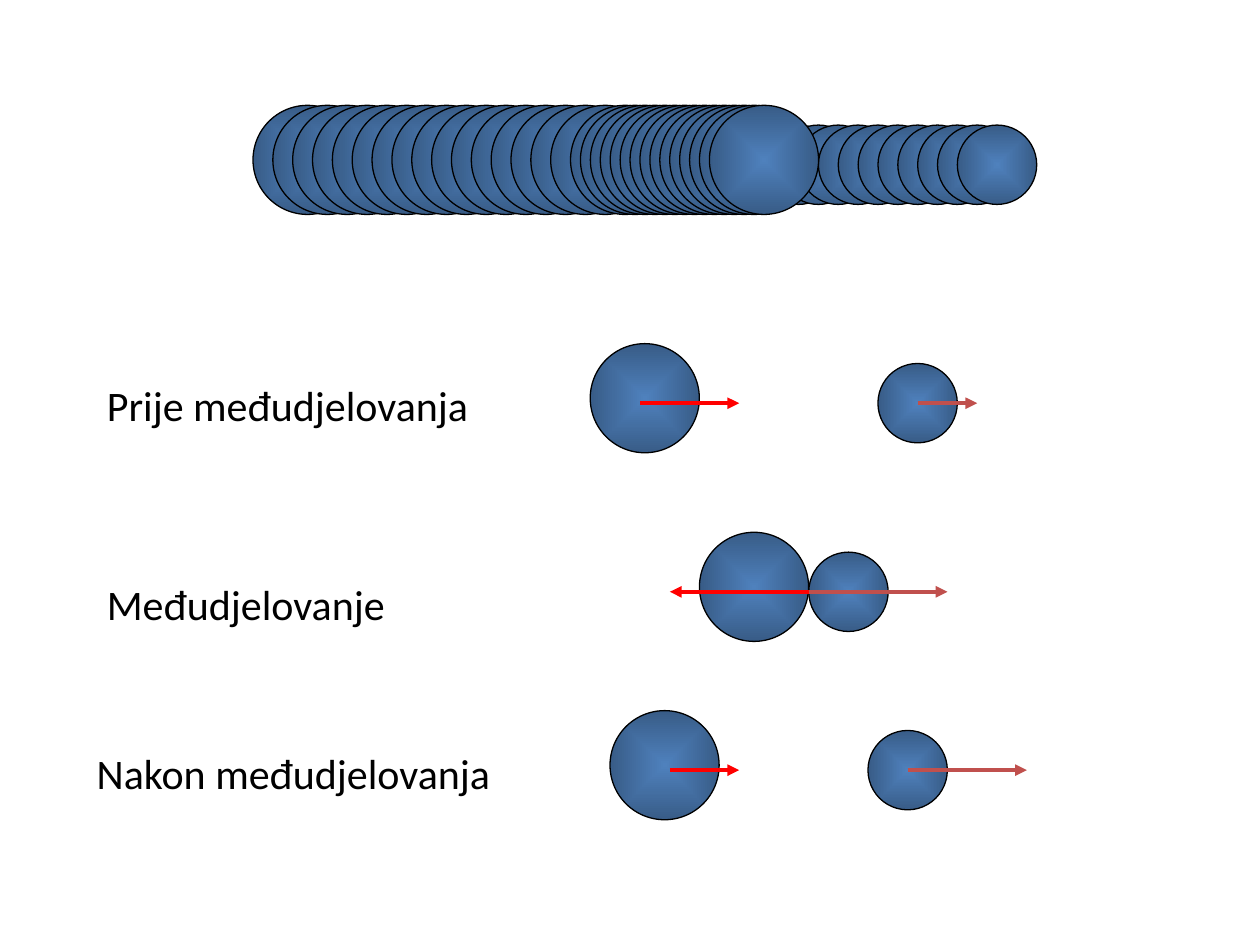
"""Build a slide that shows two balls before, during and after their interaction."""
from lxml import etree
from pptx import Presentation
from pptx.dml.color import RGBColor
from pptx.enum.shapes import MSO_CONNECTOR, MSO_SHAPE
from pptx.enum.text import MSO_AUTO_SIZE
from pptx.oxml import parse_xml
from pptx.oxml.ns import qn
from pptx.util import Pt

ELLIPSE = MSO_SHAPE.OVAL
STRAIGHT = MSO_CONNECTOR.STRAIGHT
FIT_SHAPE = MSO_AUTO_SIZE.SHAPE_TO_FIT_TEXT

BLACK = RGBColor(0x00, 0x00, 0x00)
RED = RGBColor(0xFF, 0x00, 0x00)
BRICK = RGBColor(0xC0, 0x50, 0x4D)
BLUE = RGBColor(0x4F, 0x81, 0xBD)

STEP = 5.67
LARGE = 11 * STEP
SMALL = 8 * STEP
SLOWDOWN = 16
FRAMES = 31

BALL_FILL = f"""
<a:gradFill xmlns:a="http://schemas.openxmlformats.org/drawingml/2006/main" rotWithShape="1">
  <a:gsLst>
    <a:gs pos="0"><a:srgbClr val="{BLUE}"/></a:gs>
    <a:gs pos="100000"><a:srgbClr val="{BLUE}"><a:shade val="46275"/></a:srgbClr></a:gs>
  </a:gsLst>
  <a:path path="shape"><a:fillToRect l="50000" t="50000" r="50000" b="50000"/></a:path>
</a:gradFill>"""

deck = Presentation()
deck.slide_width, deck.slide_height = Pt(720), Pt(540)
page = deck.slides.add_slide(deck.slide_layouts[6])


def add_ball(left, top, size):
    ball = page.shapes.add_shape(ELLIPSE, Pt(left), Pt(top), Pt(size), Pt(size))
    ball.shadow.inherit = False
    ball.line.color.rgb = BLACK
    ball.line.width = Pt(0.75)
    ball._element.spPr.find(qn("a:prstGeom")).addnext(parse_xml(BALL_FILL))


def add_arrow(start, tip, level, color):
    arrow = page.shapes.add_connector(STRAIGHT, Pt(start), Pt(level), Pt(tip), Pt(level))
    arrow.line.color.rgb = color
    arrow.line.width = Pt(2.25)
    etree.SubElement(arrow.line._get_or_add_ln(), qn("a:tailEnd"), type="triangle")
    etree.SubElement(arrow._element.spPr, qn("a:effectLst"))


for frame in range(FRAMES):
    late = max(frame - SLOWDOWN, 0)
    add_ball(297.6 + STEP * (frame + late), 71.5, SMALL)
    add_ball(144.6 + STEP * (2 * frame - late), 60.2, LARGE)

labels = [
    ("Prije međudjelovanja", 54, 213.1, 223.2),
    ("Međudjelovanje", 54, 326.9, 175),
    ("Nakon međudjelovanja", 48.2, 423.4, 241.9),
]
for text, left, top, width in labels:
    box = page.shapes.add_textbox(Pt(left), Pt(top), Pt(width), Pt(36))
    box.text_frame.word_wrap = False
    box.text_frame.auto_size = FIT_SHAPE
    para = box.text_frame.paragraphs[0]
    para.text = text
    para.font.name = "Calibri"
    para.font.size = Pt(24)
    para.font.color.rgb = BLACK

stages = [
    (230.4, 337.3, 501.7, (365.7, 422.4), (524.4, 558.4)),
    (338.2, 399.7, 462.2, (462.2, 382.8), (462.2, 541.4)),
    (440.1, 348.6, 496, (382.8, 422.4), (518.7, 586.8)),
]
for level, large_left, small_left, large_arrow, small_arrow in stages:
    add_ball(large_left, level - 6 * STEP, LARGE)
    add_ball(small_left, level - SMALL / 2, SMALL)
    add_arrow(*large_arrow, level, RED)
    add_arrow(*small_arrow, level, BRICK)

deck.save("out.pptx")
